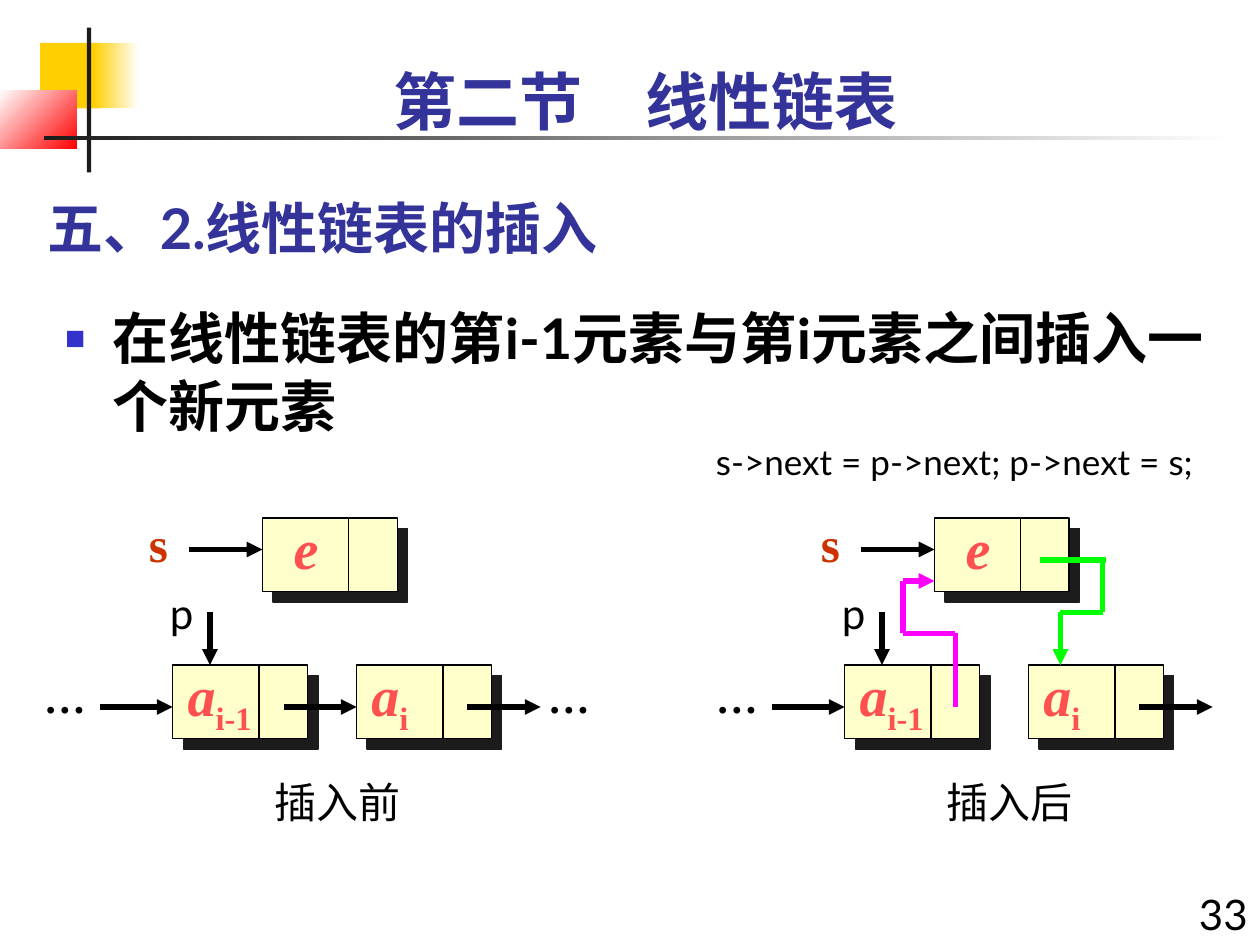
import itertools
from dataclasses import dataclass

import pptx
import pptx.dml.color
import pptx.enum.dml
import pptx.enum.shapes
import pptx.enum.text
import pptx.oxml
import pptx.oxml.ns
import pptx.util

Pt = pptx.util.Pt
ALIGN = pptx.enum.text.PP_ALIGN
RECT = pptx.enum.shapes.MSO_SHAPE.RECTANGLE
STRAIGHT = pptx.enum.shapes.MSO_CONNECTOR.STRAIGHT
NS = pptx.oxml.ns.nsdecls("a")

BLACK, BLUE, DARK, CORAL = "000000", "333399", "1C1C1C", "FF5050"
SANS, SERIF, CJK = "Lato", "Times New Roman", "Noto Sans CJK SC"
NODE_W, NODE_H, CELL_W = 77, 42, 49.3
PANEL_SHIFT = 384
ROW_Y, ARROW_Y = 380, 404

Point = tuple[float, float]


@dataclass
class Style:
    size: float
    color: str = BLACK
    font: str = SANS
    bold: bool = False
    italic: bool = False


@dataclass
class Node:
    x: float
    y: float
    name: str
    sub: str = ""


@dataclass
class Label:
    x: float
    y: float
    w: float
    h: float
    text: str
    style: Style


@dataclass
class Path:
    points: list[Point]
    color: str = BLACK
    arrow: bool = True


NODE_STYLE = Style(32, CORAL, SERIF, True, True)
DOTS = Style(24, font=SERIF, bold=True)
PLAIN = Style(24)

NODES = [Node(98.7, ROW_Y, "a", "i-1"), Node(203.8, ROW_Y, "a", "i"), Node(150, 296, "e")]
SHARED_LABELS = [
    Label(78, 290, 25, 41, "s", Style(28, "CC3300", SERIF, True)),
    Label(90, 332, 54, 36, "p", PLAIN),
    Label(18, ROW_Y, 54, 36, "…", DOTS),
]
SHARED_PATHS = [
    Path([(108, 314), (150, 314)]),
    Path([(120, 350), (120, ROW_Y)]),
    Path([(57, ARROW_Y), (98.7, ARROW_Y)]),
    Path([(267, ARROW_Y), (309, ARROW_Y)]),
]
BEFORE_LABELS = [
    Label(306, ROW_Y, 54, 36, "…", DOTS),
    Label(150, 440, 96, 36, "插入前", PLAIN),
]
BEFORE_PATHS = [Path([(162, ARROW_Y), (203.8, ARROW_Y)])]
AFTER_LABELS = [Label(150, 440, 102, 36, "插入后", PLAIN)]
AFTER_PATHS = [
    Path([(162, ARROW_Y), (162, 362), (132, 362), (132, 332), (150, 332)], "FF00FF"),
    Path([(210, 320), (248, 320)], "00FF00", arrow=False),
    Path([(246, 320), (246, 350), (222, 350), (222, ROW_Y)], "00FF00"),
]


def rgb(value: str) -> pptx.dml.color.RGBColor:
    return pptx.dml.color.RGBColor.from_string(value)


def add_xml(parent, xml: str) -> None:
    """Append one DrawingML element whose tag ends at its first space."""
    parent.append(pptx.oxml.parse_xml(xml.replace(" ", f" {NS} ", 1)))


def format_run(r, style: Style) -> None:
    r.font.size = Pt(style.size)
    r.font.name = style.font
    r.font.bold = style.bold
    r.font.italic = style.italic
    r.font.color.rgb = rgb(style.color)
    add_xml(r.font._element, f'<a:ea typeface="{CJK}"/>')


def place(sp, x: float, y: float, w: float, h: float) -> None:
    sp.left, sp.top, sp.width, sp.height = Pt(x), Pt(y), Pt(w), Pt(h)


def add_text(shapes, label: Label, dx: float = 0, align=ALIGN.LEFT, wrap: bool = True):
    sp = shapes.add_textbox(Pt(label.x + dx), Pt(label.y), Pt(label.w), Pt(label.h))
    tf = sp.text_frame
    tf.word_wrap = wrap
    tf.auto_size = pptx.enum.text.MSO_AUTO_SIZE.SHAPE_TO_FIT_TEXT
    p = tf.paragraphs[0]
    p.text = label.text
    p.alignment = align
    format_run(p.runs[0], label.style)
    return p


def add_rect(shapes, x: float, y: float, w: float, h: float, color: str):
    sp = shapes.add_shape(RECT, Pt(x), Pt(y), Pt(w), Pt(h))
    sp.shadow.inherit = False
    sp.fill.solid()
    sp.fill.fore_color.rgb = rgb(color)
    sp.line.fill.background()
    return sp


def set_gradient(sp, start: str, end: str, angle: float = 0) -> None:
    sp.fill.gradient()
    sp.fill.gradient_angle = angle
    for stop, color in zip(sp.fill.gradient_stops, (start, end)):
        stop.color.rgb = rgb(color)


def add_line(shapes, start: Point, end: Point, color: str, width: float, arrow: bool = False) -> None:
    line = shapes.add_connector(STRAIGHT, *(Pt(v) for v in (*start, *end)))
    line.line.color.rgb = rgb(color)
    line.line.width = Pt(width)
    if arrow:
        add_xml(line.line._get_or_add_ln(), '<a:tailEnd type="triangle"/>')
    add_xml(line._element.spPr, "<a:effectLst />")


def add_path(shapes, path: Path, dx: float) -> None:
    points = [(x + dx, y) for x, y in path.points]
    for start, end in itertools.pairwise(points):
        add_line(shapes, start, end, path.color, 3, path.arrow and end == points[-1])


def add_node(shapes, node: Node, dx: float) -> None:
    x = node.x + dx
    sp = add_rect(shapes, x, node.y, NODE_W, NODE_H, "FFFFCC")
    sp.line.color.rgb = rgb(BLACK)
    sp.line.width = Pt(0.75)
    effects = sp._element.spPr.find(pptx.oxml.ns.qn("a:effectLst"))
    add_xml(effects, f'<a:outerShdw dist="{Pt(8.5)}" dir="2700000" algn="ctr" rotWithShape="0">'
                     f'<a:srgbClr val="{DARK}"/></a:outerShdw>')
    divider = x + CELL_W
    add_line(shapes, (divider, node.y), (divider, node.y + NODE_H), BLACK, 0.75)
    width = {"i-1": 54, "i": 36.5, "": 47}[node.sub]
    label = Label(x + 1.4, node.y - 6.2, width, 45.4, node.name, NODE_STYLE)
    p = add_text(shapes, label, align=ALIGN.LEFT if node.sub else ALIGN.CENTER, wrap=not node.sub)
    if node.sub:
        r = p.add_run()
        r.text = node.sub
        format_run(r, Style(32, CORAL, SERIF, True))
        r.font._element.set("baseline", "-25000")


def add_panel(slide, dx: float, labels: list[Label], paths: list[Path]) -> None:
    shapes = slide.shapes.add_group_shape().shapes
    for node in NODES:
        add_node(shapes, node, dx)
    for label in SHARED_LABELS + labels:
        add_text(shapes, label, dx)
    for path in SHARED_PATHS + paths:
        add_path(shapes, path, dx)


def add_ornament(shapes) -> None:
    add_rect(shapes, 23, 24.5, 34.5, 37.5, "FFCF01")
    set_gradient(add_rect(shapes, 53.3, 24.5, 26, 37.5, "FFCF01"), "FFCF01", "FFFFFF")
    set_gradient(add_rect(shapes, 0, 51.8, 44, 33.2, "FF0000"), "FFFFFF", "FF0000", 315)
    add_rect(shapes, 49.7, 15.8, 2.5, 82.8, DARK)
    set_gradient(add_rect(shapes, 25.2, 77.8, 680.4, 2.5, DARK), DARK, "FFFFFF")


def fill_placeholder(sp, text: str, style: Style, anchor):
    tf = sp.text_frame
    tf.text = text
    tf.auto_size = pptx.enum.text.MSO_AUTO_SIZE.NONE
    tf.vertical_anchor = anchor
    p = tf.paragraphs[0]
    p.alignment = ALIGN.LEFT
    p.space_before = Pt(0)
    format_run(p.runs[0], style)
    return p


def main() -> None:
    prs = pptx.Presentation()
    prs.slide_width, prs.slide_height = Pt(720), Pt(540)
    slide = prs.slides.add_slide(prs.slide_layouts[1])
    title, body = slide.shapes.title, slide.placeholders[1]
    anchors = pptx.enum.text.MSO_ANCHOR

    add_ornament(slide.shapes)
    place(title, 20, 98.6, 450, 54)
    fill_placeholder(title, "五、2.线性链表的插入", Style(32, BLUE, bold=True), anchors.BOTTOM)
    place(body, 30, 170, 690, 114)
    p = fill_placeholder(body, "在线性链表的第i-1元素与第i元素之间插入一个新元素", Style(32, bold=True), anchors.TOP)
    pPr = p._p.get_or_add_pPr()
    pPr.set("marL", str(Pt(27)))
    pPr.set("indent", str(Pt(-27)))
    add_xml(pPr, '<a:buClr ><a:srgbClr val="3333CC"/></a:buClr>')
    add_xml(pPr, '<a:buSzPct val="60000"/>')
    add_xml(pPr, '<a:buChar char="■"/>')

    add_text(slide.shapes, Label(36, 32, 666, 50.4, "第二节\u3000线性链表".replace("\u3000", "　"),
                                 Style(36, BLUE, bold=True)), align=ALIGN.CENTER)
    add_text(slide.shapes, Label(672, 504, 48, 36, "33", PLAIN), align=ALIGN.RIGHT)
    add_panel(slide, 0, BEFORE_LABELS, BEFORE_PATHS)
    add_panel(slide, PANEL_SHIFT, AFTER_LABELS, AFTER_PATHS)
    add_text(slide.shapes, Label(402, 248, 318, 31, "s->next = p->next; p->next = s;", Style(20)))
    prs.save("out.pptx")


if __name__ == "__main__":
    main()
